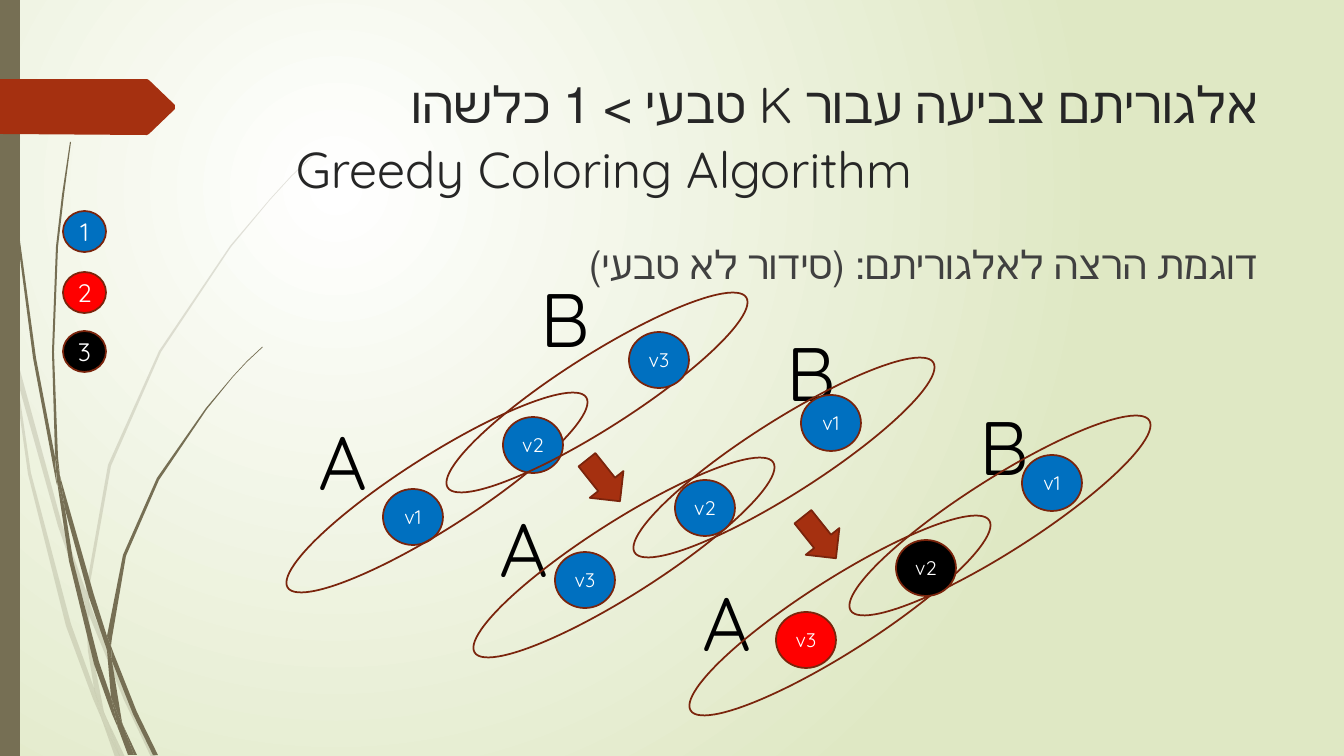
from lxml import etree
from pptx import Presentation
from pptx import util as u
from pptx.dml.color import RGBColor
from pptx.enum import shapes, text
from pptx.oxml.ns import qn

PX = 914400 / 100.8
FONT = "Quicksand"
OLIVE = RGBColor(0x76, 0x6F, 0x54)
RUST = RGBColor(0xA5, 0x30, 0x10)
RUST_LINE = RGBColor(0x7A, 0x24, 0x0C)
BLUE = RGBColor(0x00, 0x70, 0xC0)
RED = RGBColor(0xFF, 0x00, 0x00)
BLACK = RGBColor(0x00, 0x00, 0x00)
WHITE = RGBColor(0xFF, 0xFF, 0xFF)
PALE_GREEN = RGBColor(0xDF, 0xE8, 0xC4)
TITLE_GREY = RGBColor(0x26, 0x26, 0x26)
BODY_GREY = RGBColor(0x40, 0x40, 0x40)

# Outlines of the grass blades, piece by piece
PALE_BLADES = [
    [(11, 353), (9, 325), (0, 284), (0, 301), (10, 347)],
    [(58, 526), (85, 604), (86, 591), (62, 524), (14, 348), (17, 379)],
    [(93, 612), (89, 601), (89, 615), (124, 700), (151, 757), (156, 757), (128, 698)],
    [(120, 757), (125, 757), (106, 717)],
    [(94, 688), (71, 624), (31, 473), (17, 379), (11, 353), (28, 474), (66, 626),
     (93, 699), (102, 720), (100, 713)],
    [(85, 604), (88, 651), (94, 688), (97, 698), (106, 717), (104, 712), (92, 651),
     (89, 615), (89, 613)],
    [(89, 589), (111, 466), (161, 352), (231, 247), (270, 200), (292, 176),
     (314, 155), (314, 154), (291, 176), (270, 199), (230, 246), (159, 351),
     (108, 465), (86, 589), (86, 591), (89, 601)],
    [(102, 720), (115, 757), (120, 757)],
    [(89, 613), (89, 615), (89, 601), (86, 591), (85, 604)],
    [(97, 698), (94, 688), (100, 713), (102, 720), (120, 757), (106, 717)],
]
DARK_BLADES = [
    [(7, 111), (17, 235), (33, 358), (56, 481), (57, 485), (55, 461), (55, 457),
     (36, 358), (19, 234), (8, 110), (5, 48), (4, 0), (3, 0), (4, 48)],
    [(89, 597), (107, 650), (107, 638), (107, 636), (94, 595), (60, 476), (65, 509)],
    [(114, 654), (111, 646), (112, 661), (133, 714), (153, 755), (158, 755), (137, 712)],
    [(111, 697), (99, 662), (73, 560), (65, 509), (57, 481), (69, 561), (94, 664),
     (112, 714), (118, 728), (117, 723)],
    [(60, 476), (58, 457), (54, 352), (58, 247), (64, 195), (71, 142), (70, 142),
     (62, 195), (56, 247), (52, 352), (55, 453)],
    [(134, 755), (137, 755), (123, 725)],
    [(57, 481), (65, 509), (60, 476), (55, 453), (55, 457)],
    [(112, 638), (126, 556), (159, 480), (207, 409), (233, 377), (247, 362),
     (263, 347), (262, 347), (247, 361), (233, 376), (206, 408), (157, 478),
     (123, 555), (107, 636), (111, 646)],
    [(118, 728), (128, 755), (132, 755)],
    [(107, 650), (111, 697), (117, 712), (123, 725), (122, 722), (112, 661), (110, 656)],
    [(107, 650), (110, 656), (112, 661), (111, 646), (107, 636), (107, 638)],
    [(117, 712), (111, 697), (117, 723), (118, 728), (131, 755), (134, 755), (123, 725)],
]
TAG = [(175, 109), (149, 134), (147, 135), (0, 134), (0, 79), (147, 79), (149, 80),
       (175, 105)]

# Steps: ring A corner, first vertex corner, A and B label corners,
# vertices as (name, colour), drawing order of rings and vertices
STEPS = [
    ((260, 456), (383, 489), (309, 410), (531, 267),
     [("v1", BLUE), ("v2", BLUE), ("v3", BLUE)], "0A1B2"),
    ((447, 521), (555, 552), (490, 497), (777, 321),
     [("v3", BLUE), ("v2", BLUE), ("v1", BLUE)], "AB012"),
    ((663, 579), (776, 612), (693, 571), (970, 395),
     [("v3", RED), ("v2", BLACK), ("v1", BLUE)], "AB012"),
]
RING_SHIFT = {"A": (0, 0), "B": (160, -100)}
VERTEX_SHIFT = [(0, 0), (120, -72), (246, -157)]


def px(n):
    return u.Emu(round(n * PX))


def write(tf, words, size, color, align=None, rtl=False):
    tf.text = words
    p = tf.paragraphs[0]
    p.alignment = align
    p.font.name, p.font.size = FONT, u.Pt(size)
    p.font.color.rgb = color
    if rtl:
        p._p.get_or_add_pPr().set("rtl", "1")
    return p


def paint(sp, fill=None, line=None):
    sp.shadow.inherit = False
    if fill is None:
        sp.fill.background()
    else:
        sp.fill.solid()
        sp.fill.fore_color.rgb = fill
    if line is None:
        sp.line.fill.background()
    else:
        sp.line.color.rgb = line
        sp.line.width = u.Pt(1.25)


def add_preset(slide, kind, x, y, w, h, fill=None, line=None, rotation=0):
    sp = slide.shapes.add_shape(kind, px(x), px(y), px(w), px(h))
    sp.rotation = rotation
    paint(sp, fill, line)
    return sp


def add_outline(slide, points, fill, alpha=None):
    start, *rest = [(px(x), px(y)) for x, y in points]
    builder = slide.shapes.build_freeform(*start)
    builder.add_line_segments(rest, close=True)
    sp = builder.convert_to_shape()
    paint(sp, fill)
    if alpha is not None:
        color = sp._element.spPr.find(".//" + qn("a:srgbClr"))
        etree.SubElement(color, qn("a:alpha"), val=str(alpha * 1000))


def add_disc(slide, x, y, w, h, words, size, fill):
    sp = add_preset(slide, shapes.MSO_SHAPE.OVAL, x, y, w, h, fill, RUST_LINE)
    tf = sp.text_frame
    tf.word_wrap = False
    tf.vertical_anchor = text.MSO_ANCHOR.MIDDLE
    write(tf, words, size, WHITE, text.PP_ALIGN.CENTER)


def add_label(slide, x, y, w, h, words, size, color):
    tf = slide.shapes.add_textbox(px(x), px(y), px(w), px(h)).text_frame
    tf.word_wrap = True
    write(tf, words, size, color)


def set_background(slide):
    fill = slide.background.fill
    fill.gradient()
    for stop, color in zip(fill.gradient_stops, (WHITE, PALE_GREEN)):
        stop.color.rgb = color
    lin = slide.element.find(".//" + qn("a:lin"))
    circle = etree.Element(qn("a:path"), path="circle")
    etree.SubElement(circle, qn("a:fillToRect"),
                     l="50000", t="50000", r="100000", b="100000")
    lin.getparent().replace(lin, circle)


def fill_placeholder(sp, box, words, size, color):
    sp.left, sp.top, sp.width, sp.height = map(px, box)
    sp.text_frame.vertical_anchor = text.MSO_ANCHOR.TOP
    return write(sp.text_frame, words, size, color, text.PP_ALIGN.RIGHT, rtl=True)


def add_step(slide, ring, vertex, label_a, label_b, vertices, order):
    for words, corner in (("A", label_a), ("B", label_b)):
        add_label(slide, *corner, 70, 102, words, 54, BLACK)
    for part in order:
        if part in RING_SHIFT:
            dx, dy = RING_SHIFT[part]
            add_preset(slide, shapes.MSO_SHAPE.OVAL, ring[0] + dx, ring[1] + dy,
                       354, 73, line=RUST_LINE, rotation=327.5)
        else:
            dx, dy = VERTEX_SHIFT[int(part)]
            name, color = vertices[int(part)]
            add_disc(slide, vertex[0] + dx, vertex[1] + dy, 60, 56, name, 14, color)


def main():
    prs = Presentation()
    prs.slide_width, prs.slide_height = px(1344), px(756)
    slide = prs.slides.add_slide(prs.slide_layouts[1])

    # Backdrop: gradient, grass, side bar and tag
    set_background(slide)
    for blade in PALE_BLADES:
        add_outline(slide, blade, OLIVE, alpha=20)
    for blade in DARK_BLADES:
        add_outline(slide, blade, OLIVE)
    add_preset(slide, shapes.MSO_SHAPE.RECTANGLE, 0, 0, 20, 756, OLIVE)
    add_outline(slide, TAG, RUST)

    # Headings
    fill_placeholder(slide.shapes.title, (286, 68, 983, 78),
                     "אלגוריתם צביעה עבור K טבעי > 1 כלשהו", 36, TITLE_GREY)
    add_label(slide, 286, 133, 983, 78, "Greedy Coloring Algorithm", 36, TITLE_GREY)
    p = fill_placeholder(slide.placeholders[1], (285, 235, 983, 416),
                         "דוגמת הרצה לאלגוריתם: (סידור לא טבעי)", 28, BODY_GREY)
    p.space_before = u.Pt(10)
    pPr = p._p.get_or_add_pPr()
    pPr.set("marL", "0")
    pPr.set("indent", "0")
    pPr.insert_element_before(etree.Element(qn("a:buNone")), "a:tabLst", "a:defRPr")

    # Colour legend
    for words, y, color in (("1", 211, BLUE), ("2", 272, RED), ("3", 331, BLACK)):
        add_disc(slide, 63, y, 43, 41, words, 18, color)

    # Colouring steps and the arrows between them
    for step in STEPS:
        add_step(slide, *step)
    for x, y in ((582, 454), (798, 511)):
        add_preset(slide, shapes.MSO_SHAPE.DOWN_ARROW, x, y, 43, 53,
                   RUST, RUST_LINE, rotation=321.5)

    prs.save("out.pptx")


if __name__ == "__main__":
    main()
